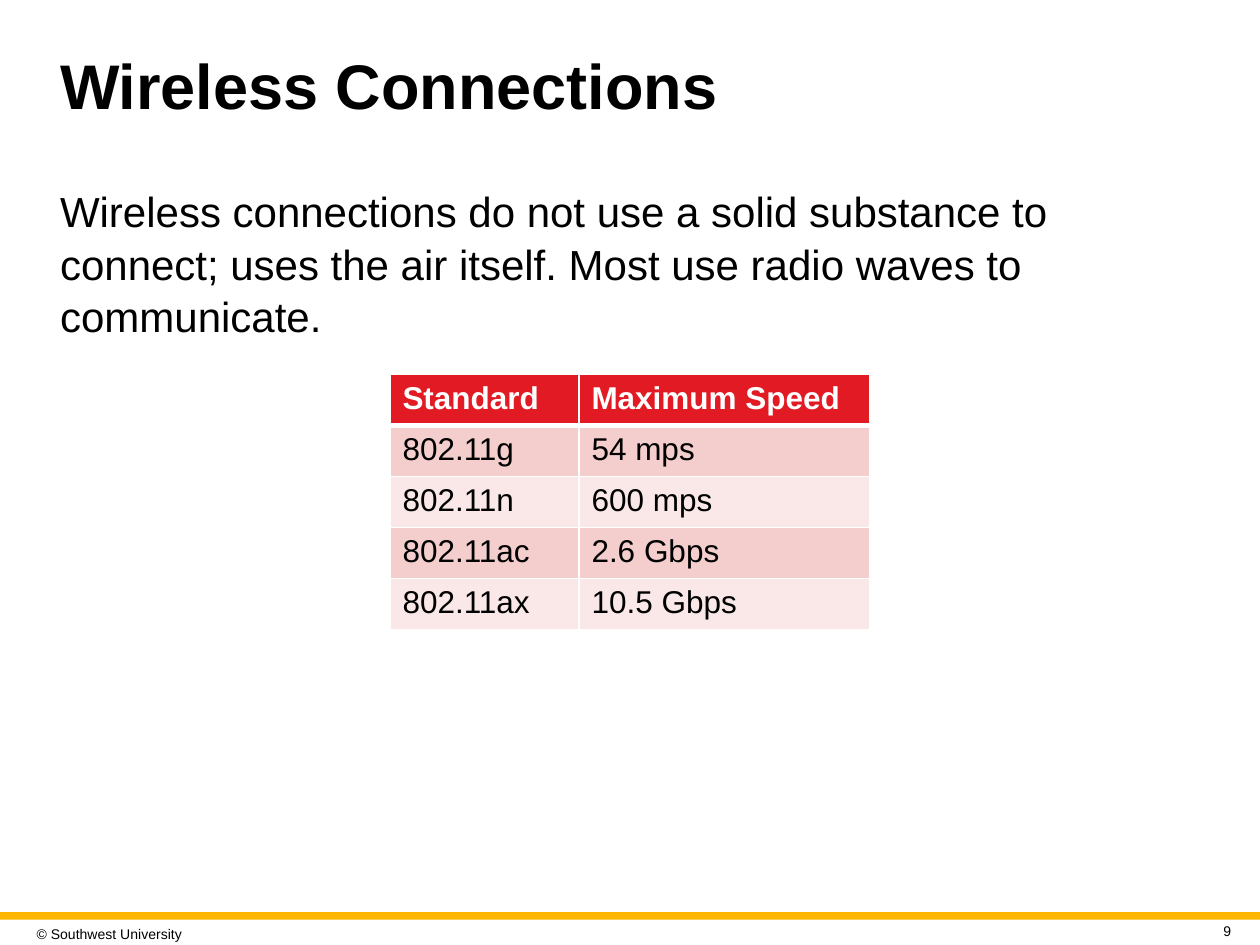
import pptx
import pptx.dml.color
import pptx.enum.shapes
import pptx.enum.text
import pptx.oxml.ns
import pptx.util
from lxml import etree

Pt = pptx.util.Pt
ANCHOR = pptx.enum.text.MSO_ANCHOR
ALIGN = pptx.enum.text.PP_ALIGN
COLORS = {
    "text": "000000",
    "white": "FFFFFF",
    "bar": "FFB600",
    "header": "E21A23",
    "odd": "F4CDCD",
    "even": "FAE8E8",
}
SPEEDS = [
    ("Standard", "Maximum Speed"),
    ("802.11g", "54 mps"),
    ("802.11n", "600 mps"),
    ("802.11ac", "2.6 Gbps"),
    ("802.11ax", "10.5 Gbps"),
]
COLUMN_WIDTHS = (108, 166.3)
ROW_HEIGHT = 29.2


def rgb(name):
    return pptx.dml.color.RGBColor.from_string(COLORS[name])


def write_text(frame, text, size, color="text", bold=False, align=ALIGN.LEFT, line_spacing=1.0):
    para = frame.paragraphs[0]
    para.alignment = align
    para.line_spacing = line_spacing
    para.space_before = Pt(0)
    span = para.add_run()
    span.text = text
    span.font.name = "Arial"
    span.font.size = Pt(size)
    span.font.bold = bold
    span.font.color.rgb = rgb(color)


def fill_placeholder(box, area, text, anchor, **style):
    box.left, box.top, box.width, box.height = map(Pt, area)
    frame = box.text_frame
    frame.auto_size = pptx.enum.text.MSO_AUTO_SIZE.NONE
    frame.vertical_anchor = anchor
    properties = frame.paragraphs[0]._p.get_or_add_pPr()
    properties.set("marL", "0")
    properties.set("indent", "0")
    etree.SubElement(properties, pptx.oxml.ns.qn("a:buNone"))
    write_text(frame, text, **style)


def add_label(page, area, text, **style):
    frame = page.shapes.add_textbox(*map(Pt, area)).text_frame
    frame.word_wrap = True
    frame.vertical_anchor = ANCHOR.MIDDLE
    frame.margin_left = frame.margin_right = Pt(3.6)
    frame.margin_top = frame.margin_bottom = Pt(3.6)
    write_text(frame, text, **style)


def add_bar(page, area, color):
    bar = page.shapes.add_shape(pptx.enum.shapes.MSO_SHAPE.RECTANGLE, *map(Pt, area))
    bar.shadow.inherit = False
    bar.fill.solid()
    bar.fill.fore_color.rgb = rgb(color)
    bar.line.fill.background()


def set_borders(cell, widths):
    properties = cell._tc.get_or_add_tcPr()
    for side, width in widths.items():
        line = etree.SubElement(properties, pptx.oxml.ns.qn(f"a:ln{side}"), w=str(Pt(width)))
        fill = etree.SubElement(line, pptx.oxml.ns.qn("a:solidFill"))
        etree.SubElement(fill, pptx.oxml.ns.qn("a:srgbClr"), val=COLORS["white"])


def add_speed_table(page, left, top):
    width, height = sum(COLUMN_WIDTHS), ROW_HEIGHT * len(SPEEDS)
    table = page.shapes.add_table(
        len(SPEEDS), len(COLUMN_WIDTHS), Pt(left), Pt(top), Pt(width), Pt(height)
    ).table
    for column, column_width in zip(table.columns, COLUMN_WIDTHS):
        column.width = Pt(column_width)
    for index, values in enumerate(SPEEDS):
        table.rows[index].height = Pt(ROW_HEIGHT)
        header = index == 0
        fill = "header" if header else "odd" if index % 2 else "even"
        widths = {"L": 1, "R": 1, "T": 3 if index == 1 else 1, "B": 3 if header else 1}
        for cell, value in zip(table.rows[index].cells, values):
            set_borders(cell, widths)
            cell.fill.solid()
            cell.fill.fore_color.rgb = rgb(fill)
            write_text(cell.text_frame, value, size=18,
                       color="white" if header else "text", bold=header)


def main():
    deck = pptx.Presentation()
    deck.slide_width, deck.slide_height = Pt(720), Pt(540)
    page = deck.slides.add_slide(deck.slide_layouts[1])
    add_bar(page, (0, 521.3, 720, 4.3), "bar")
    add_label(page, (17.3, 524.9, 97.2, 17.3), "© Southwest University", size=8)
    fill_placeholder(page.shapes.title, (27.1, 18.7, 666, 64.8), "Wireless Connections",
                     ANCHOR.MIDDLE, size=36, bold=True, line_spacing=0.9)
    fill_placeholder(
        page.placeholders[1], (27.1, 100.8, 666, 95.8),
        "Wireless connections do not use a solid substance to connect; "
        "uses the air itself. Most use radio waves to communicate.",
        ANCHOR.TOP, size=24, line_spacing=1.05)
    add_speed_table(page, 222.8, 213.8)
    add_label(page, (679, 525.6, 28.1, 13), "9", size=8, align=ALIGN.RIGHT)
    deck.save("out.pptx")


if __name__ == "__main__":
    main()
